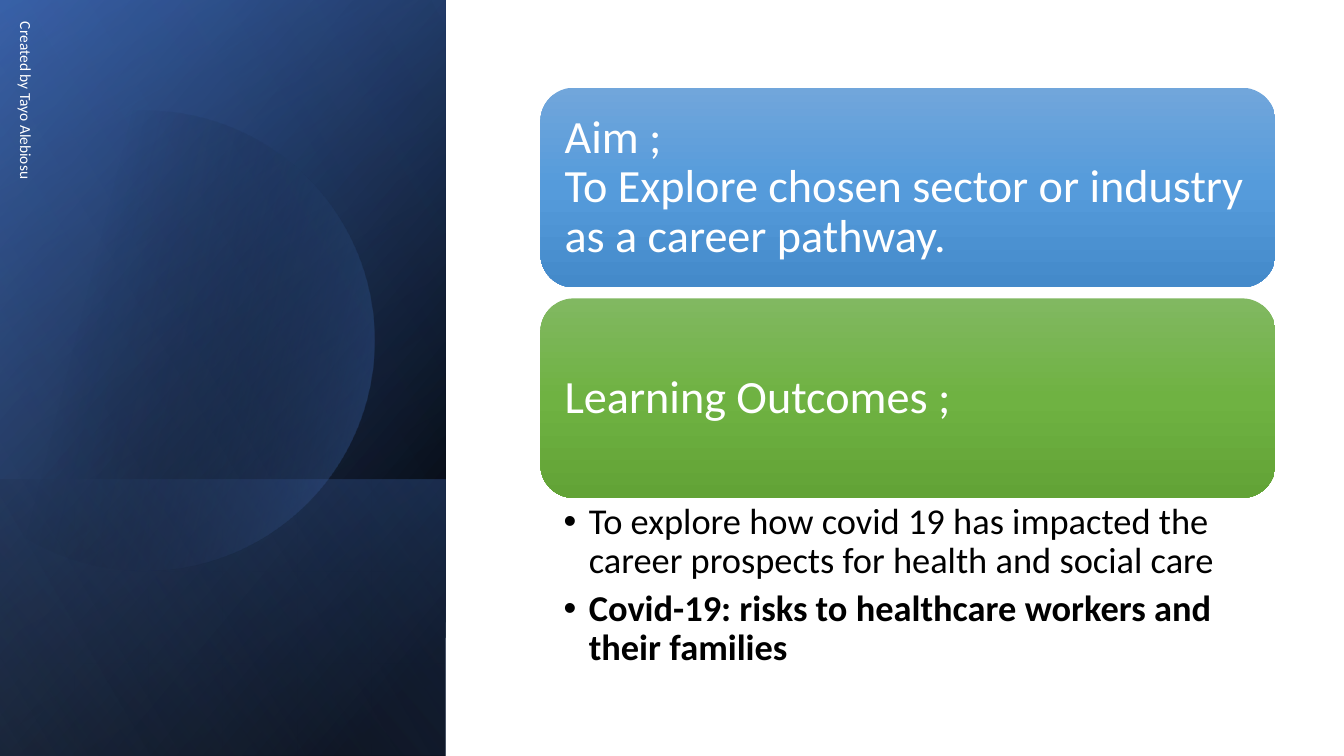
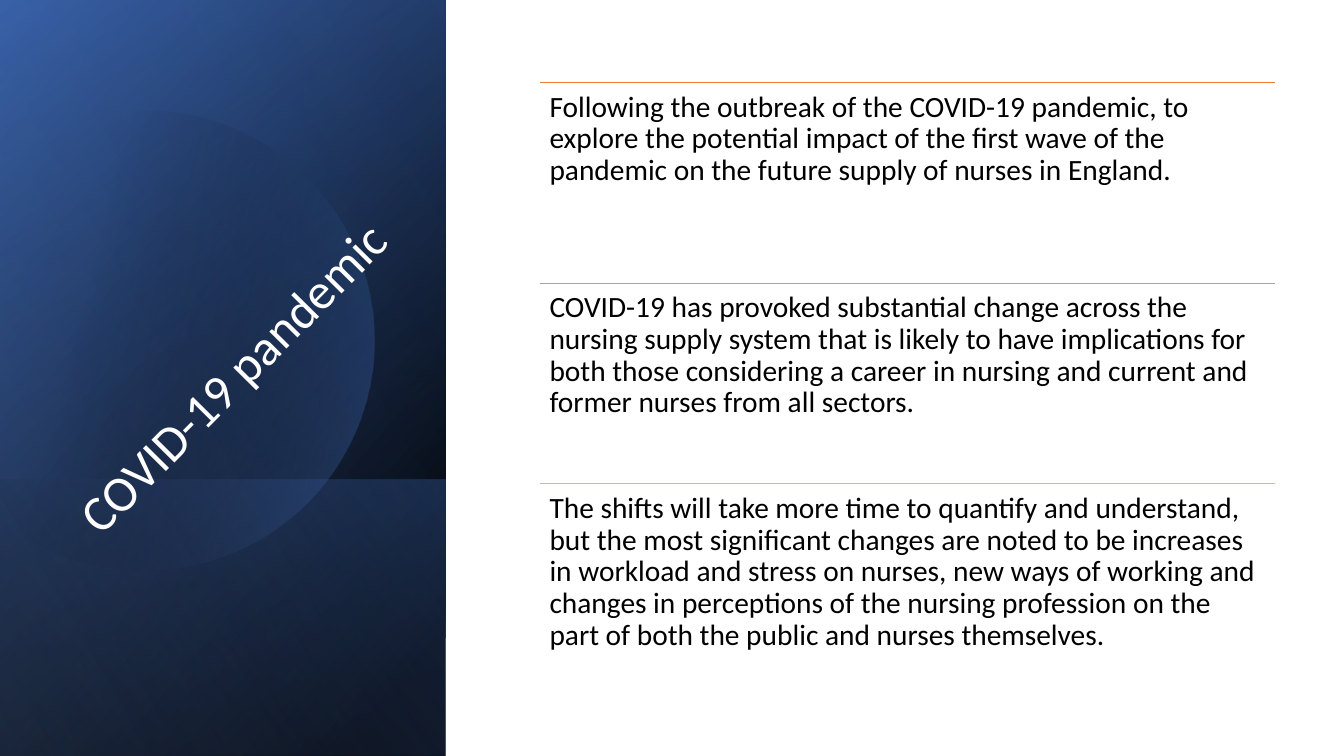
from math import acos, cos, pi, sin

from lxml.etree import SubElement
from pptx import Presentation
from pptx.dml.color import RGBColor
from pptx.enum.shapes import MSO_CONNECTOR, MSO_SHAPE
from pptx.enum.text import MSO_ANCHOR, MSO_AUTO_SIZE, PP_ALIGN
from pptx.oxml.ns import qn
from pptx.util import Inches, Pt

COLORS = {
    "white": "FFFFFF", "black": "000000", "navy": "2F5597", "blue": "4472C4",
    "pale_blue": "8FAADC", "orange": "ED7D31", "gray": "A5A5A5", "gold": "FFC000",
    "card_blue_top": "71A6DB", "card_blue": "559BDB", "card_blue_end": "448ACA",
    "card_green_top": "81B861", "card_green": "6FB242", "card_green_end": "62A336",
}
FONT = "Calibri"
CONTENT_LEFT, CONTENT_WIDTH = 5.36, 7.29
FULL_PANEL = (-1.54, 1.54, 7.5, 4.42)
LOWER_PANEL = (0.84, 3.92, 2.74, 4.42)
BACK_PANELS = [
    (FULL_PANEL, [(8, "black", 100), (100, "navy", 100)], 50),
    (FULL_PANEL, [(0, "black", 0), (99, "blue", 46)], 30),
    (LOWER_PANEL, [(2, "blue", 29), (100, "black", 30)], 130),
]
FRONT_PANEL = (FULL_PANEL, [(0, "black", 0), (99, "pale_blue", 11)], 120)
CIRCLE_CENTER, CIRCLE_RADIUS, CIRCLE_CUT = (1.43, 3.38), 2.28, -0.15
CIRCLE_STOPS = [(29, "black", 0), (100, "blue", 43)]

AIM = "Aim ;\vTo Explore chosen sector or industry as a career pathway."
OUTCOMES = [
    ("To explore how covid 19 has impacted the career prospects for health and social care", False),
    ("Covid-19: risks to healthcare workers and their families", True),
]
FINDINGS = [
    ("orange", "Following the outbreak of the COVID-19 pandemic, to explore the potential impact "
     "of the first wave of the pandemic on the future supply of nurses in England."),
    ("gray", "COVID-19 has provoked substantial change across the nursing supply system that is "
     "likely to have implications for both those considering a career in nursing and current and "
     "former nurses from all sectors."),
    ("gold", "The shifts will take more time to quantify and understand, but the most significant "
     "changes are noted to be increases in workload and stress on nurses, new ways of working and "
     "changes in perceptions of the nursing profession on the part of both the public and nurses "
     "themselves."),
]


def set_all(target, values):
    for name, value in values.items():
        setattr(target, name, value)


def rgb(color):
    return RGBColor.from_string(COLORS[color])


def place(shape, box):
    set_all(shape, dict(zip(("left", "top", "width", "height"), map(Inches, box))))


def gradient(shape, stops, angle):
    shape.shadow.inherit = False
    shape.line.fill.background()
    shape.fill.gradient()
    fill = shape._element.spPr.find(qn("a:gradFill"))
    for child in list(fill):
        fill.remove(child)
    stop_list = SubElement(fill, qn("a:gsLst"))
    for position, color, opacity in stops:
        stop = SubElement(stop_list, qn("a:gs"), pos=str(position * 1000))
        value = SubElement(stop, qn("a:srgbClr"), val=COLORS[color])
        if opacity < 100:
            SubElement(value, qn("a:alpha"), val=str(opacity * 1000))
    SubElement(fill, qn("a:lin"), ang=str(angle * 60000), scaled="0")
    fill.set("rotWithShape", "1")


def format_frame(frame, inset=(0.1, 0.05, 0.1, 0.05), anchor=MSO_ANCHOR.TOP):
    left, top, right, bottom = map(Inches, inset)
    set_all(frame, {
        "word_wrap": True, "auto_size": MSO_AUTO_SIZE.NONE, "vertical_anchor": anchor,
        "margin_left": left, "margin_top": top, "margin_right": right, "margin_bottom": bottom,
    })


def write(paragraph, text, size, color, spacing=0.9, bold=False, after=0):
    paragraph.text = text
    set_all(paragraph, {
        "alignment": PP_ALIGN.LEFT, "line_spacing": spacing,
        "space_before": Pt(0), "space_after": Pt(after),
    })
    set_all(paragraph.font, {"name": FONT, "size": Pt(size), "bold": bold})
    paragraph.font.color.rgb = rgb(color)


def add_text(slide, box, text, size, color, **frame_format):
    shape = slide.shapes.add_textbox(0, 0, 0, 0)
    place(shape, box)
    format_frame(shape.text_frame, **frame_format)
    write(shape.text_frame.paragraphs[0], text, size, color)
    return shape


def use_title(slide, box, text, size, spacing, **frame_format):
    title = slide.shapes.title
    place(title, box)
    format_frame(title.text_frame, **frame_format)
    write(title.text_frame.paragraphs[0], text, size, "white", spacing)
    slide.shapes._spTree.append(title._element)
    return title


def add_panel(slide, box, stops, angle):
    panel = slide.shapes.add_shape(MSO_SHAPE.RECTANGLE, 0, 0, 0, 0)
    place(panel, box)
    gradient(panel, stops, angle)
    panel.rotation = 90
    panel._element.spPr.find(qn("a:xfrm")).set("flipH", "1")


def add_cut_circle(slide):
    center_x, center_y = CIRCLE_CENTER
    limit = acos((CIRCLE_CUT - center_x) / CIRCLE_RADIUS)
    steps = 120
    angles = [-limit + 2 * limit * step / steps for step in range(steps + 1)]
    points = [(Inches(center_x + CIRCLE_RADIUS * cos(angle)),
               Inches(center_y + CIRCLE_RADIUS * sin(angle))) for angle in angles]
    builder = slide.shapes.build_freeform(*points[0])
    builder.add_line_segments(points[1:], close=True)
    gradient(builder.convert_to_shape(), CIRCLE_STOPS, 14)


def add_side_band(slide):
    for panel in BACK_PANELS:
        add_panel(slide, *panel)
    add_cut_circle(slide)
    add_panel(slide, *FRONT_PANEL)


def add_card(slide, top, hue):
    card = slide.shapes.add_shape(MSO_SHAPE.ROUNDED_RECTANGLE, 0, 0, 0, 0)
    place(card, (CONTENT_LEFT, top, CONTENT_WIDTH, 1.98))
    gradient(card, [(0, f"{hue}_top", 100), (50, hue, 100), (100, f"{hue}_end", 100)], 90)
    return card


def add_bullets(slide, box, items):
    body = slide.placeholders[1]
    place(body, box)
    frame = body.text_frame
    format_frame(frame, inset=(0.23, 0.05, 0.26, 0.05))
    for index, (text, bold) in enumerate(items):
        paragraph = frame.add_paragraph() if index else frame.paragraphs[0]
        properties = paragraph._p.get_or_add_pPr()
        properties.set("marL", str(Inches(0.25)))
        properties.set("indent", str(-Inches(0.25)))
        SubElement(properties, qn("a:buChar"), char="•")
        write(paragraph, text, 26, "black", bold=bold, after=6)
    slide.shapes._spTree.append(body._element)


def add_rule(slide, top, color):
    left, right, height = Inches(CONTENT_LEFT), Inches(CONTENT_LEFT + CONTENT_WIDTH), Inches(top)
    rule = slide.shapes.add_connector(MSO_CONNECTOR.STRAIGHT, left, height, right, height)
    rule.line.color.rgb = rgb(color)
    rule.line.width = Pt(0.5)
    SubElement(rule._element.spPr, qn("a:effectLst"))


def build_aims(presentation):
    slide = presentation.slides.add_slide(presentation.slide_layouts[1])
    add_side_band(slide)
    credit = add_text(slide, (-2, 2.17, 4.5, 0.4), "Created by Tayo Alebiosu", 11, "white",
                      anchor=MSO_ANCHOR.MIDDLE)
    credit.rotation = 90
    card_text = {"inset": (0.14,) * 4, "anchor": MSO_ANCHOR.MIDDLE}
    add_card(slide, 0.87, "card_blue")
    use_title(slide, (5.46, 0.97, 7.1, 1.79), AIM, 33, 0.9, **card_text)
    add_card(slide, 2.96, "card_green")
    add_text(slide, (5.46, 3.06, 7.1, 1.79), "Learning Outcomes ;", 33, "white", **card_text)
    add_bullets(slide, (CONTENT_LEFT, 4.94, CONTENT_WIDTH, 1.79), OUTCOMES)


def build_pandemic(presentation):
    slide = presentation.slides.add_slide(presentation.slide_layouts[5])
    add_side_band(slide)
    row_height = 1.99
    for index, (color, text) in enumerate(FINDINGS):
        top = 0.82 + index * row_height
        add_rule(slide, top, color)
        add_text(slide, (CONTENT_LEFT, top, CONTENT_WIDTH, row_height), text, 21, "black",
                 inset=(0.09,) * 4)
    title = use_title(slide, (0.12, 3.28, 4.57, 0.71), "COVID-19 pandemic", 36, 1.0)
    title.rotation = 314.7


def main():
    presentation = Presentation()
    set_all(presentation, {"slide_width": Inches(13.33), "slide_height": Inches(7.5)})
    build_aims(presentation)
    build_pandemic(presentation)
    presentation.save("out.pptx")


if __name__ == "__main__":
    main()
